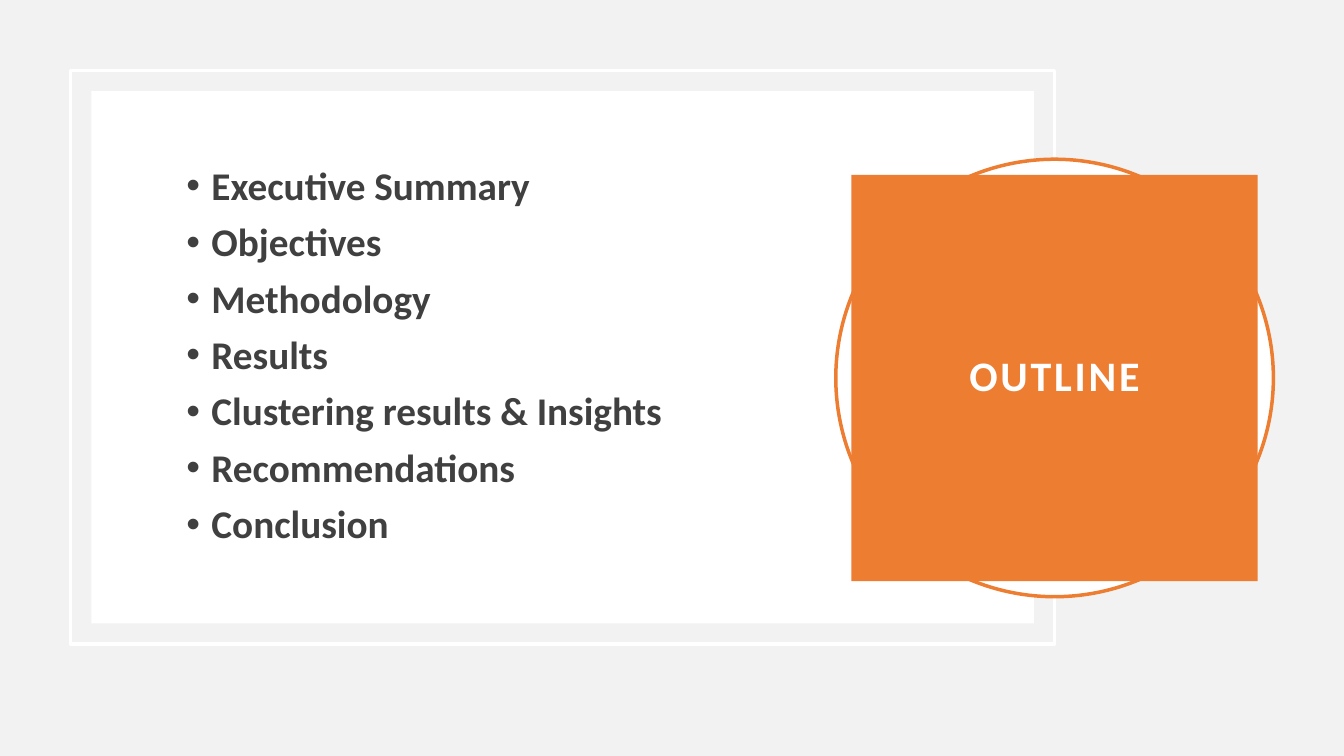
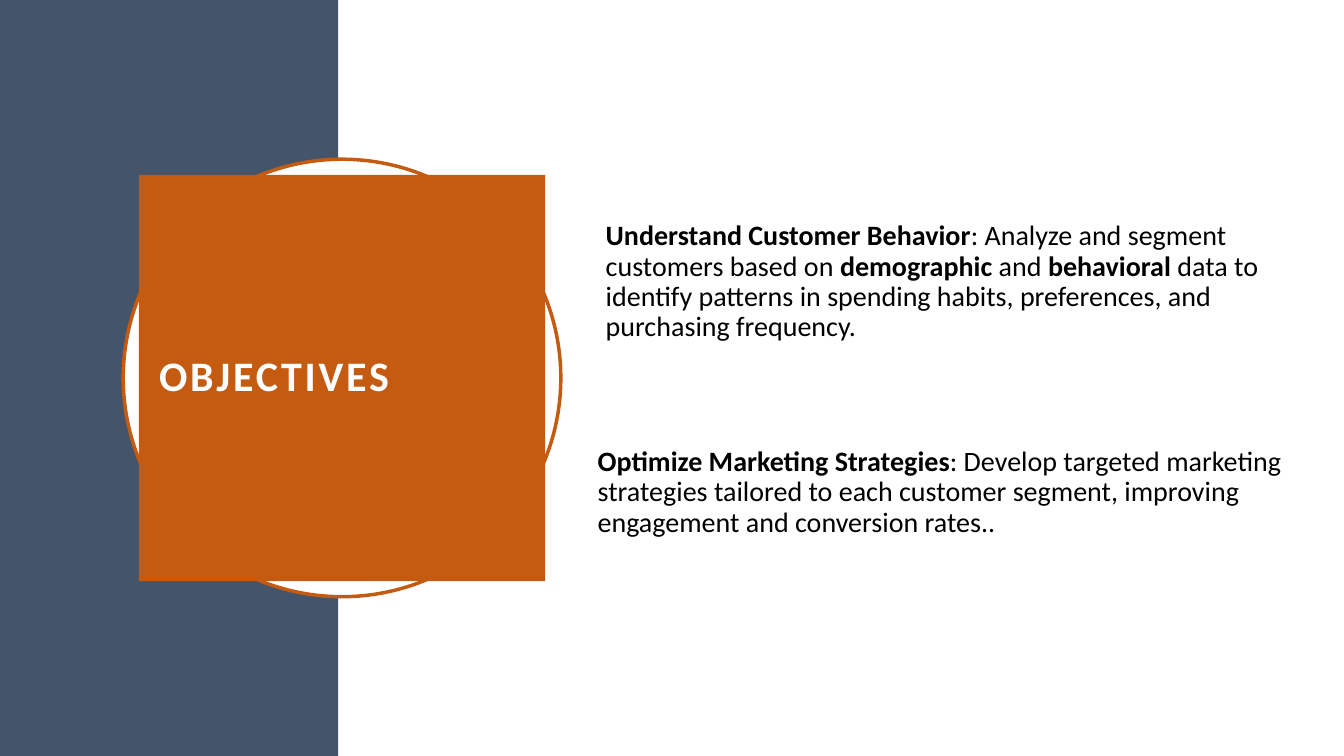
"""Build the outline and objectives slides."""
import pptx
import pptx.dml.color
import pptx.enum.shapes
import pptx.enum.text
import pptx.oxml.ns
import pptx.util
from lxml import etree

RGB = pptx.dml.color.RGBColor
WHITE = RGB(0xFF, 0xFF, 0xFF)
BLACK = RGB(0x00, 0x00, 0x00)
PALE = RGB(0xF2, 0xF2, 0xF2)
GREY = RGB(0x40, 0x40, 0x40)
SLATE = RGB(0x44, 0x54, 0x6A)
AMBER = RGB(0xED, 0x7D, 0x31)
RUST = RGB(0xC5, 0x5A, 0x11)

FACE = "Calibri"
SHAPE = pptx.enum.shapes.MSO_SHAPE
ALIGN = pptx.enum.text.PP_ALIGN
MIDDLE = pptx.enum.text.MSO_ANCHOR.MIDDLE
Pt = pptx.util.Pt
Inches = pptx.util.Inches

PAGE = (0, 0, Inches(13.33), Inches(7.5))
RING = 57.87
BLOCK = 53.73
GAP = 2.74

TOPICS = [
    "Executive Summary",
    "Objectives",
    "Methodology",
    "Results",
    "Clustering results & Insights",
    "Recommendations",
    "Conclusion",
]
GOALS = [
    ((40.58, 26.93, 54.61, 20.8), [
        ("Understand Customer Behavior", True),
        (": Analyze and segment customers based on ", False),
        ("demographic", True),
        (" and ", False),
        ("behavioral", True),
        (" data to identify patterns in spending habits, preferences, "
         "and purchasing frequency.", False),
    ]),
    ((39.98, 54.8, 57.76, 20.8), [
        ("Optimize Marketing Strategies", True),
        (": Develop targeted marketing strategies tailored to each customer "
         "segment, improving engagement and conversion rates..", False),
    ]),
]


def part(box, left, top, wide, high):
    """Return the box that covers the given percentages of a box."""
    x, y, w, h = box
    return (int(x + w * left / 100), int(y + h * top / 100),
            int(w * wide / 100), int(h * high / 100))


def inset(box, gap):
    """Return a box shrunk by a gap on every side."""
    x, y, w, h = box
    return x + gap, y + gap, w - 2 * gap, h - 2 * gap


def shape(slide, kind, box, fill=None, line=None):
    """Add a flat shape with an optional fill and outline."""
    item = slide.shapes.add_shape(kind, *box)
    item.shadow.inherit = False
    if fill is None:
        item.fill.background()
    else:
        item.fill.solid()
        item.fill.fore_color.rgb = fill
    if line is None:
        item.line.fill.background()
    else:
        item.line.color.rgb = line
        item.line.width = Pt(2.5)
    return item


def style(para, size, color, bold=None, before=0):
    """Set the font and spacing of a paragraph."""
    para.font.name = FACE
    para.font.size = Pt(size)
    para.font.color.rgb = color
    para.font.bold = bold
    para.line_spacing = 0.9
    para.space_before = Pt(before)


def indent(para, left, hang=0, mark=None):
    """Indent a paragraph, with a hanging bullet if a mark is given."""
    props = para._p.get_or_add_pPr()
    props.set("marL", str(Inches(left)))
    props.set("indent", str(Inches(-hang)))
    if mark:
        qn = pptx.oxml.ns.qn
        etree.SubElement(props, qn("a:buFont")).set("typeface", "Arial")
        etree.SubElement(props, qn("a:buChar")).set("char", mark)


def frame(slide, box):
    """Add a wrapping text box, anchored in the middle."""
    text = slide.shapes.add_textbox(*box).text_frame
    text.word_wrap = True
    text.vertical_anchor = MIDDLE
    return text


def badge(slide, box, mid, color, title, align):
    """Add the ringed title block, centred on a percentage of the width."""
    x, y, w, h = box
    spots = []
    for share in (RING, BLOCK):
        side = int(h * share / 100)
        spots.append((int(x + w * mid / 100 - side / 2),
                      int(y + (h - side) / 2), side, side))
    shape(slide, SHAPE.OVAL, spots[0], WHITE, color)
    text = shape(slide, SHAPE.RECTANGLE, spots[1], color).text_frame
    text.word_wrap = True
    text.vertical_anchor = MIDDLE
    text.margin_left = text.margin_right = Inches(0.2)
    text.margin_top = text.margin_bottom = Inches(0.2)
    para = text.paragraphs[0]
    para.alignment = align
    style(para, 30, WHITE, True)
    run = para.add_run()
    run.text = title
    run._r.get_or_add_rPr().set("spc", "200")


def topics(slide, box):
    """Add the framed panel with the bullet list."""
    shape(slide, SHAPE.RECTANGLE, box, line=WHITE)
    gap = int(PAGE[3] * GAP / 100)
    shape(slide, SHAPE.RECTANGLE, inset(box, gap), WHITE)
    text = frame(slide, part(box, 7.58, 12.3, 64.04, 75.22))
    for num, topic in enumerate(TOPICS):
        para = text.add_paragraph() if num else text.paragraphs[0]
        para.text = topic
        indent(para, 0.56, 0.25, "•")
        style(para, 28, GREY, True, 10)


def goal(slide, box, runs):
    """Add one goal as a paragraph of plain and bold runs."""
    para = frame(slide, box).paragraphs[0]
    indent(para, 0.5)
    style(para, 20, BLACK, before=5)
    for words, bold in runs:
        run = para.add_run()
        run.text = words
        run.font.bold = bold


def blank(deck, color):
    """Add a blank slide with a plain background."""
    slide = deck.slides.add_slide(deck.slide_layouts[6])
    slide.background.fill.solid()
    slide.background.fill.fore_color.rgb = color
    return slide


def outline(deck):
    """Build the outline slide."""
    slide = blank(deck, PALE)
    topics(slide, part(PAGE, 5.25, 9.33, 73.22, 75.87))
    badge(slide, PAGE, 78.47, AMBER, "OUTLINE", ALIGN.CENTER)


def aims(deck):
    """Build the objectives slide."""
    slide = blank(deck, WHITE)
    shape(slide, SHAPE.RECTANGLE, part(PAGE, 0, 0, 25.17, 100), SLATE)
    badge(slide, PAGE, 25.45, RUST, "OBJECTIVES", ALIGN.LEFT)
    for spot, runs in GOALS:
        goal(slide, part(PAGE, *spot), runs)


def main():
    """Build and save the deck."""
    deck = pptx.Presentation()
    deck.slide_width, deck.slide_height = PAGE[2:]
    outline(deck)
    aims(deck)
    deck.save("out.pptx")


if __name__ == "__main__":
    main()
